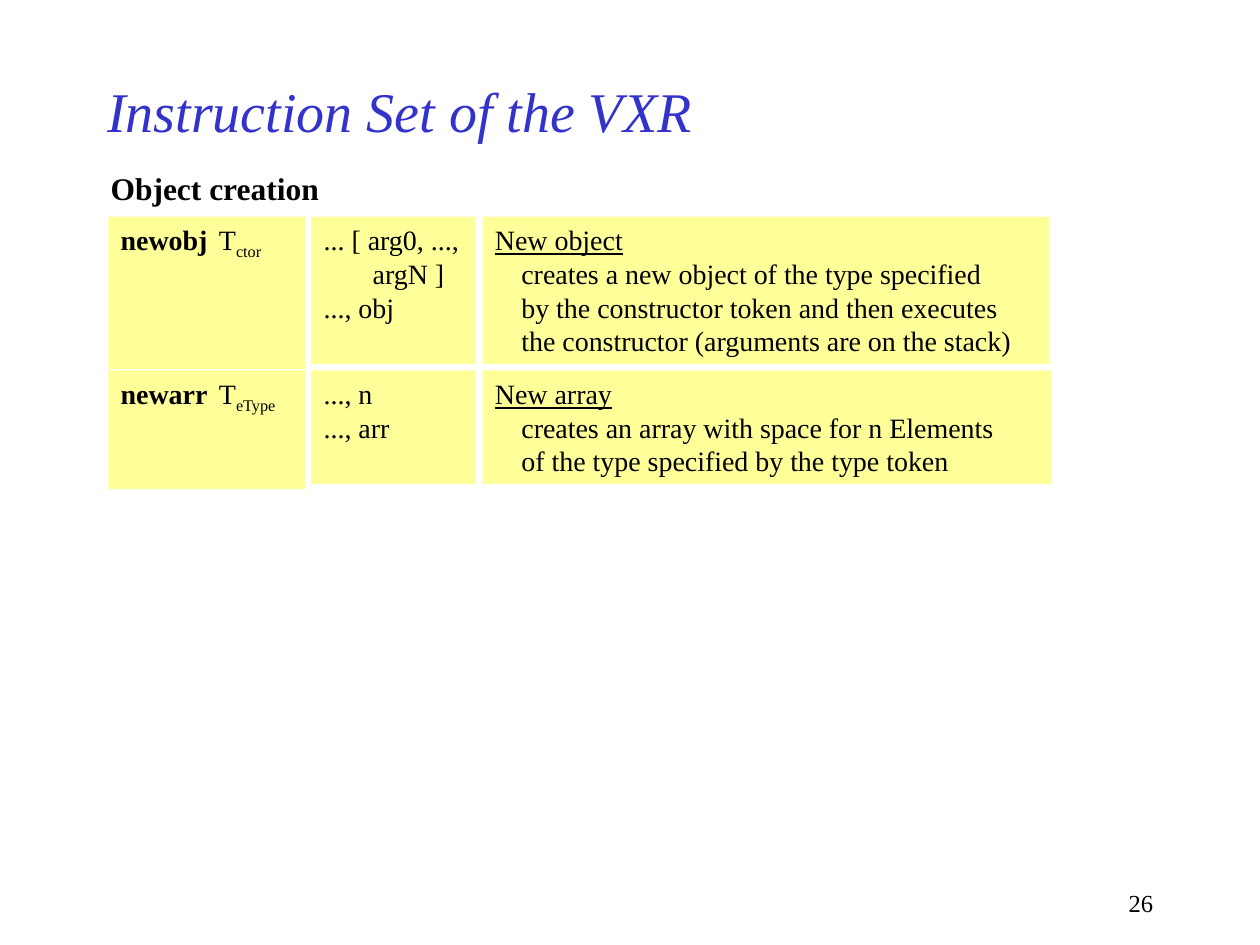
"""Build the slide on the VXR instructions for object creation."""
import dataclasses

import lxml.etree
import pptx
import pptx.dml.color
import pptx.enum.shapes
import pptx.enum.text
import pptx.oxml.ns
import pptx.presentation
import pptx.shapes.base
import pptx.slide
import pptx.text.text
import pptx.util

Inches = pptx.util.Inches
RGBColor = pptx.dml.color.RGBColor
Align = pptx.enum.text.PP_ALIGN
Anchor = pptx.enum.text.MSO_ANCHOR

BLUE = RGBColor(0x33, 0x33, 0xCC)
BLACK = RGBColor(0, 0, 0)
YELLOW = RGBColor(0xFF, 0xFF, 0x99)
FONT = "Times New Roman"
CODE_LEFT, STACK_LEFT, TEXT_LEFT = 0.86, 2.47, 3.83
CODE_WIDTH, STACK_WIDTH = 1.56, 1.3
OPERAND_TAB = 0.78
STACK_INDENT, TEXT_INDENT = 0.39, 0.21


@dataclasses.dataclass(frozen=True)
class Line:
    text: str
    indent: float = 0
    underline: bool = False


@dataclasses.dataclass(frozen=True)
class Instruction:
    name: str
    token: str
    stack: list[Line]
    heading: str
    description: list[str]
    top: float
    code_height: float
    height: float
    text_width: float


INSTRUCTIONS = [
    Instruction(
        "newobj", "ctor",
        [Line("... [ arg0, ...,"), Line("argN ]", STACK_INDENT), Line("..., obj")],
        "New object",
        ["creates a new object of the type specified",
         "by the constructor token and then executes",
         "the constructor (arguments are on the stack)"],
        1.72, 1.21, 1.17, 4.5),
    Instruction(
        "newarr", "eType",
        [Line("..., n"), Line("..., arr")],
        "New array",
        ["creates an array with space for n Elements",
         "of the type specified by the type token"],
        2.94, 0.94, 0.9, 4.51),
]


def format_run(r: pptx.text.text._Run, size: float, color: RGBColor = BLACK,
               bold: bool = False, italic: bool = False, underline: bool = False) -> None:
    """Set the font of a run."""
    r.font.name = FONT
    r.font.size = pptx.util.Pt(size)
    r.font.color.rgb = color
    r.font.bold, r.font.italic, r.font.underline = bold, italic, underline


def add_cell(s: pptx.slide.Slide, left: float, top: float,
             width: float, height: float) -> pptx.text.text.TextFrame:
    """Add a yellow rectangle and return its text frame."""
    sp = s.shapes.add_shape(pptx.enum.shapes.MSO_SHAPE.RECTANGLE,
                            Inches(left), Inches(top), Inches(width), Inches(height))
    sp.shadow.inherit = False
    sp.fill.solid()
    sp.fill.fore_color.rgb = YELLOW
    sp.line.fill.background()
    tf = sp.text_frame
    tf.word_wrap = True
    tf.vertical_anchor = Anchor.TOP
    return tf


def write_lines(tf: pptx.text.text.TextFrame, lines: list[Line]) -> None:
    """Write one left-aligned paragraph for each line."""
    tf.text = "\n".join(line.text for line in lines)
    for p, line in zip(tf.paragraphs, lines):
        p.alignment = Align.LEFT
        p._p.get_or_add_pPr().set("marL", str(Inches(line.indent)))
        format_run(p.runs[0], 16, underline=line.underline)


def write_code(tf: pptx.text.text.TextFrame, name: str, token: str) -> None:
    """Write an instruction name and its subscripted operand at a tab stop."""
    p = tf.paragraphs[0]
    p.alignment = Align.LEFT
    tabs = lxml.etree.SubElement(p._p.get_or_add_pPr(), pptx.oxml.ns.qn("a:tabLst"))
    lxml.etree.SubElement(tabs, pptx.oxml.ns.qn("a:tab"),
                          pos=str(Inches(OPERAND_TAB)), algn="l")
    for text, bold in ((f"{name}\t", True), ("T", False), (token, False)):
        r = p.add_run()
        r.text = text
        format_run(r, 16, bold=bold)
    r.font._element.set("baseline", "-25000")


def add_instruction(s: pptx.slide.Slide, item: Instruction) -> None:
    """Draw the three cells of an instruction."""
    write_code(add_cell(s, CODE_LEFT, item.top, CODE_WIDTH, item.code_height),
               item.name, item.token)
    write_lines(add_cell(s, STACK_LEFT, item.top, STACK_WIDTH, item.height), item.stack)
    description = [Line(text, TEXT_INDENT) for text in item.description]
    write_lines(add_cell(s, TEXT_LEFT, item.top, item.text_width, item.height),
                [Line(item.heading, underline=True), *description])


def add_label(s: pptx.slide.Slide, text: str, left: float, top: float, width: float,
              height: float, size: float, bold: bool = False, wrap: bool = True,
              align: Align = Align.LEFT) -> None:
    """Add a text box with a single line."""
    tf = s.shapes.add_textbox(Inches(left), Inches(top),
                              Inches(width), Inches(height)).text_frame
    tf.word_wrap = wrap
    tf.text = text
    p = tf.paragraphs[0]
    p.alignment = align
    format_run(p.runs[0], size, bold=bold)


def add_title(s: pptx.slide.Slide, text: str) -> None:
    """Place and format the title placeholder."""
    sp = s.shapes.title
    sp.left, sp.top = Inches(0.75), Inches(0.5)
    sp.width, sp.height = Inches(7.5), Inches(0.75)
    tf = sp.text_frame
    tf.text = text
    tf.vertical_anchor = Anchor.MIDDLE
    p = tf.paragraphs[0]
    p.alignment = Align.LEFT
    format_run(p.runs[0], 32, BLUE, italic=True)


def main() -> None:
    """Build and save the presentation."""
    prs = pptx.Presentation()
    prs.slide_width, prs.slide_height = Inches(10), Inches(7.5)
    s = prs.slides.add_slide(prs.slide_layouts[5])
    add_title(s, "Instruction Set of the VXR")
    add_label(s, "Object creation", 0.78, 1.29, 1.86, 0.4, 18, bold=True, wrap=False)
    for item in INSTRUCTIONS:
        add_instruction(s, item)
    add_label(s, "26", 7.17, 7, 2.08, 0.33, 14, align=Align.RIGHT)
    prs.save("out.pptx")


if __name__ == "__main__":
    main()
